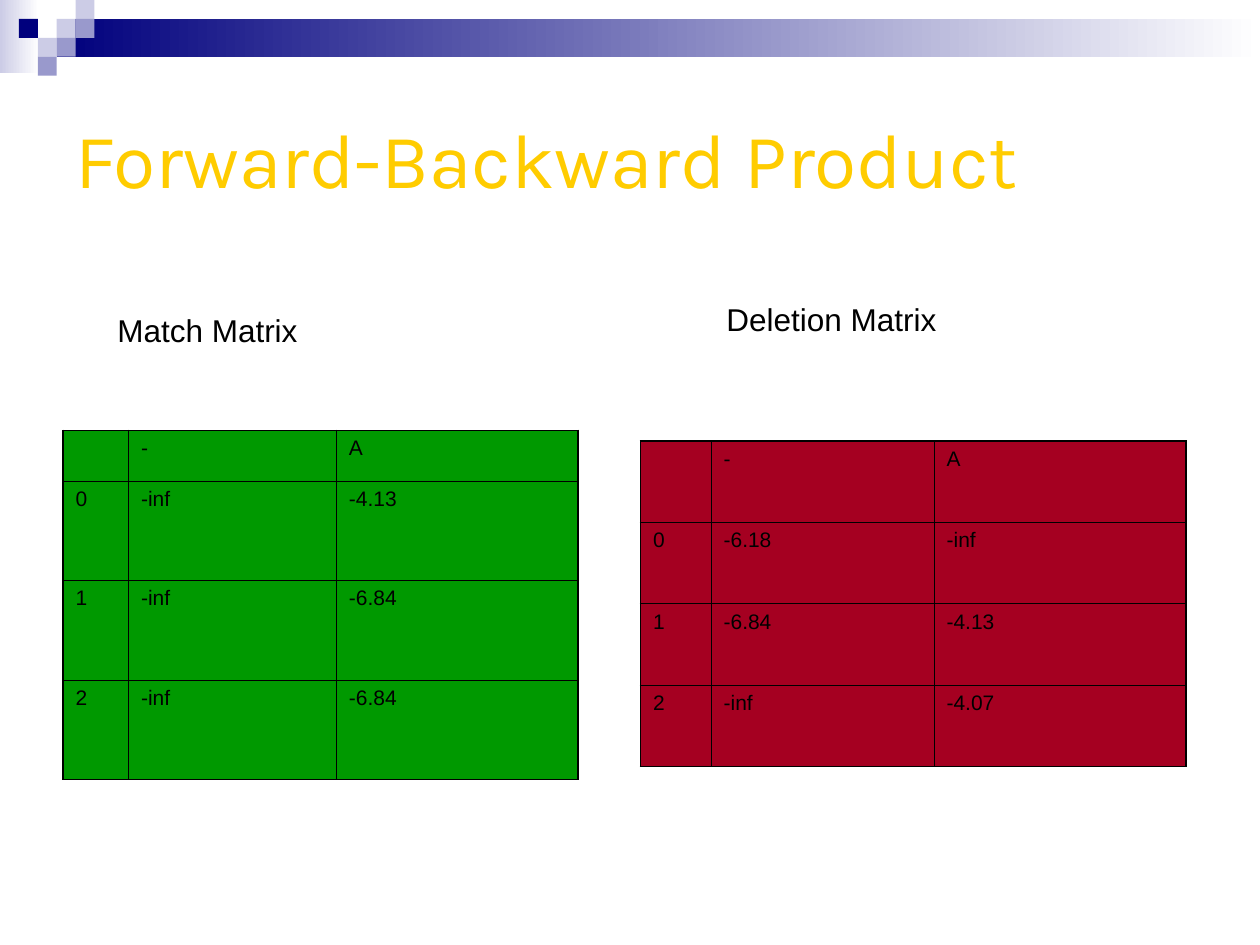
from dataclasses import dataclass

from lxml import etree
from pptx import Presentation
from pptx.dml.color import RGBColor
from pptx.enum import shapes, text
from pptx.oxml import ns
from pptx.util import Pt


@dataclass(frozen=True)
class Theme:
    navy: str = "00007D"
    mid: str = "9999CC"
    pale: str = "CCCCE6"
    white: str = "FFFFFF"
    gold: str = "FFCC00"
    ink: str = "000000"
    green: str = "009900"
    red: str = "A50021"
    head: str = "Karla"
    body: str = "Arial"
    title: float = 44
    label: float = 18
    cell: float = 12
    thick: float = 1.08
    thin: float = 0.45


T = Theme()
STEP = 10.8  # side of one square in the banner


def rgb(code):
    return RGBColor.from_string(code)


def style(para, face, size, color):
    para.font.name = face
    para.font.size = Pt(size)
    para.font.color.rgb = rgb(color)


def add_rect(slide, box, color, fade=False):
    """Draw a plain rectangle; with fade, it turns white towards the right."""
    rect = slide.shapes.add_shape(shapes.MSO_SHAPE.RECTANGLE, *map(Pt, box))
    rect.shadow.inherit = False
    rect.line.fill.background()
    if fade:
        rect.fill.gradient()
        rect.fill.gradient_angle = 180
        for stop, code in zip(rect.fill.gradient_stops, (T.white, color)):
            stop.color.rgb = rgb(code)
    else:
        rect.fill.solid()
        rect.fill.fore_color.rgb = rgb(color)


def add_banner(slide, box):
    """Draw the faded bars and the squares, set on a grid of STEP."""
    left, top, width, height = box
    add_rect(slide, (left, top, 22.32, height - 1.44), T.pale, fade=True)
    add_rect(slide, (left + 3 * STEP, top + STEP, width - 3 * STEP, 2 * STEP),
             T.navy, fade=True)
    squares = [(3, 1, T.pale), (4, 0, T.pale), (4, 1, T.mid), (2, 2, T.pale),
               (1, 1, T.navy), (3, 2, T.mid), (2, 3, T.mid)]
    for col, row, color in squares:
        add_rect(slide, (left + col * STEP, top + row * STEP, STEP, STEP), color)


def add_text(slide, box, words, face, size, color, before=0,
             anchor=text.MSO_ANCHOR.TOP):
    frame = slide.shapes.add_textbox(*map(Pt, box)).text_frame
    frame.word_wrap = True
    frame.vertical_anchor = anchor
    para = frame.paragraphs[0]
    para.text = words
    para.space_before = Pt(before)
    style(para, face, size, color)


def add_edges(cell, widths):
    """Set the cell's borders; widths go left, right, top, bottom."""
    props = cell._tc.get_or_add_tcPr()
    for i, (side, width) in enumerate(zip("LRTB", widths)):
        line = etree.Element(ns.qn(f"a:ln{side}"), w=str(int(Pt(width))))
        fill = etree.SubElement(line, ns.qn("a:solidFill"))
        etree.SubElement(fill, ns.qn("a:srgbClr"), val=T.ink)
        props.insert(i, line)


def add_matrix(slide, box, cols, rows, data, color):
    """Draw a filled table with a thick frame and thin inner lines."""
    table = slide.shapes.add_table(len(rows), len(cols), *map(Pt, box)).table
    table.first_row = table.horz_banding = False
    for col, width in zip(table.columns, cols):
        col.width = Pt(width)
    for row, height in zip(table.rows, rows):
        row.height = Pt(height)
    for r, line in enumerate(data):
        for c, value in enumerate(line):
            cell = table.cell(r, c)
            cell.fill.solid()
            cell.fill.fore_color.rgb = rgb(color)
            outer = (c == 0, c == len(cols) - 1, r == 0, r == len(rows) - 1)
            add_edges(cell, [T.thick if edge else T.thin for edge in outer])
            if value:
                para = cell.text_frame.paragraphs[0]
                para.text = value
                para.space_before = Pt(3)
                style(para, T.body, T.cell, T.ink)


def main():
    deck = Presentation()
    deck.slide_width, deck.slide_height = Pt(720), Pt(540)
    slide = deck.slides.add_slide(deck.slide_layouts[6])

    add_banner(slide, (0, 0, 720, 4 * STEP))
    add_text(slide, (36, 36, 648, 108), "Forward-Backward Product",
             T.head, T.title, T.gold, anchor=text.MSO_ANCHOR.MIDDLE)

    match = [("", "-", "A"), ("0", "-inf", "-4.13"),
             ("1", "-inf", "-6.84"), ("2", "-inf", "-6.84")]
    add_matrix(slide, (36, 246, 294.48, 192.24), (37.44, 118.8, 138.24),
               (21.6, 56.88, 56.88, 56.88), match, T.green)

    deletion = [("", "-", "A"), ("0", "-6.18", "-inf"),
                ("1", "-6.84", "-4.13"), ("2", "-inf", "-4.07")]
    add_matrix(slide, (366, 252, 311.76, 186), (40.32, 127.44, 144),
               [46.5] * 4, deletion, T.red)

    for left, top, words in [(60, 174, "Match Matrix"),
                             (408, 168, "Deletion Matrix")]:
        add_text(slide, (left, top, 210, 28.8), words,
                 T.body, T.label, T.ink, before=11.2)

    deck.save("out.pptx")


if __name__ == "__main__":
    main()
